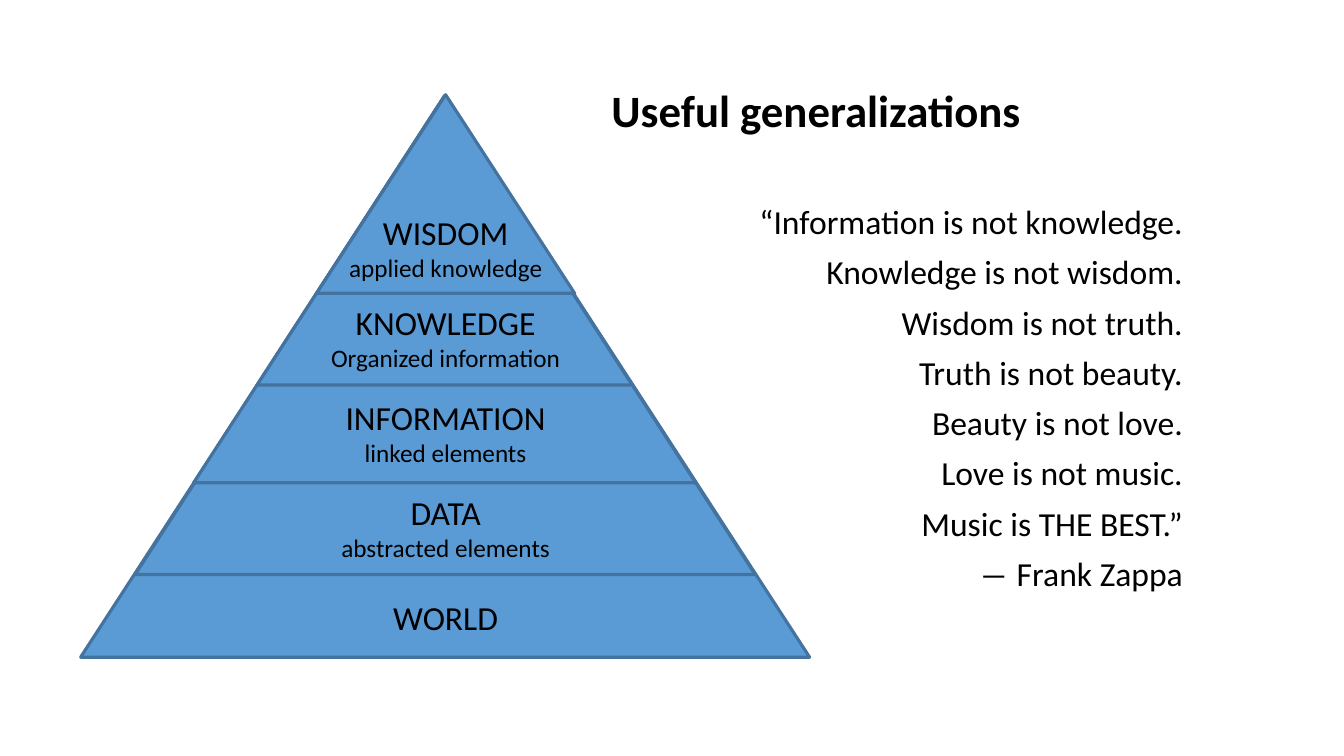
from dataclasses import dataclass

from pptx import Presentation
from pptx.dml.color import RGBColor
from pptx.enum.shapes import MSO_SHAPE as Shape
from pptx.enum.text import MSO_ANCHOR as Anchor, PP_ALIGN as Align
from pptx.slide import Slide
from pptx.text.text import TextFrame
from pptx.util import Pt

EMU_PER_PX = 9144
FONT = "Calibri"
COLORS = {"fill": "5B9BD5", "outline": "43739E", "text": "000000"}


@dataclass(frozen=True)
class Box:
    left: int
    top: int
    width: int
    height: int

    def emu(self) -> tuple[int, int, int, int]:
        return tuple(
            px * EMU_PER_PX for px in (self.left, self.top, self.width, self.height)
        )


@dataclass(frozen=True)
class Level:
    triangle: Box
    label: Box
    lines: tuple[str, ...]


LEVELS = (
    Level(Box(80, 95, 723, 557), Box(366, 587, 152, 50), ("WORLD",)),
    Level(Box(134, 96, 615, 474), Box(265, 483, 354, 81), ("DATA", "abstracted elements")),
    Level(Box(192, 95, 498, 384), Box(312, 389, 260, 81), ("INFORMATION", "linked elements")),
    Level(Box(255, 95, 372, 287), Box(312, 295, 260, 81), ("KNOWLEDGE", "Organized information")),
    Level(Box(314, 94, 256, 197), Box(312, 205, 260, 81), ("WISDOM", "applied knowledge")),
)
TITLE_BOX = Box(482, 40, 655, 145)
QUOTE_BOX = Box(715, 199, 468, 476)
QUOTE = (
    "“Information is not knowledge.",
    "Knowledge is not wisdom.",
    "Wisdom is not truth.",
    "Truth is not beauty.",
    "Beauty is not love.",
    "Love is not music.",
    "Music is THE BEST.”",
    "― Frank Zappa",
)


def color(name: str) -> RGBColor:
    return RGBColor.from_string(COLORS[name])


def add_triangle(slide: Slide, box: Box) -> None:
    shape = slide.shapes.add_shape(Shape.ISOSCELES_TRIANGLE, *box.emu())
    shape.shadow.inherit = False
    shape.fill.solid()
    shape.fill.fore_color.rgb = color("fill")
    shape.line.color.rgb = color("outline")
    shape.line.width = Pt(2.25)


def add_text(
    slide: Slide,
    box: Box,
    lines: tuple[str, ...],
    sizes: tuple[int, ...],
    align: Align = Align.CENTER,
    bold: bool = False,
) -> TextFrame:
    text_frame = slide.shapes.add_textbox(*box.emu()).text_frame
    text_frame.word_wrap = True
    text_frame.text = "\n".join(lines)
    for paragraph, size in zip(text_frame.paragraphs, sizes):
        paragraph.alignment = align
        font = paragraph.runs[0].font
        font.name = FONT
        font.size = Pt(size)
        font.bold = bold
        font.color.rgb = color("text")
    return text_frame


def main() -> None:
    """Build the knowledge pyramid slide with its quotation."""
    presentation = Presentation()
    presentation.slide_width = 1333 * EMU_PER_PX
    presentation.slide_height = 750 * EMU_PER_PX
    slide = presentation.slides.add_slide(presentation.slide_layouts[6])

    quote = add_text(slide, QUOTE_BOX, QUOTE, (24,) * len(QUOTE), Align.RIGHT)
    for paragraph in quote.paragraphs:
        paragraph.line_spacing = 0.9
        paragraph.space_before = Pt(10)

    for level in LEVELS:
        add_triangle(slide, level.triangle)
    for level in LEVELS:
        add_text(slide, level.label, level.lines, (24, 18))

    title = add_text(slide, TITLE_BOX, ("Useful generalizations",), (32,), bold=True)
    title.vertical_anchor = Anchor.MIDDLE
    title.paragraphs[0].line_spacing = 0.9

    presentation.save("out.pptx")


if __name__ == "__main__":
    main()
